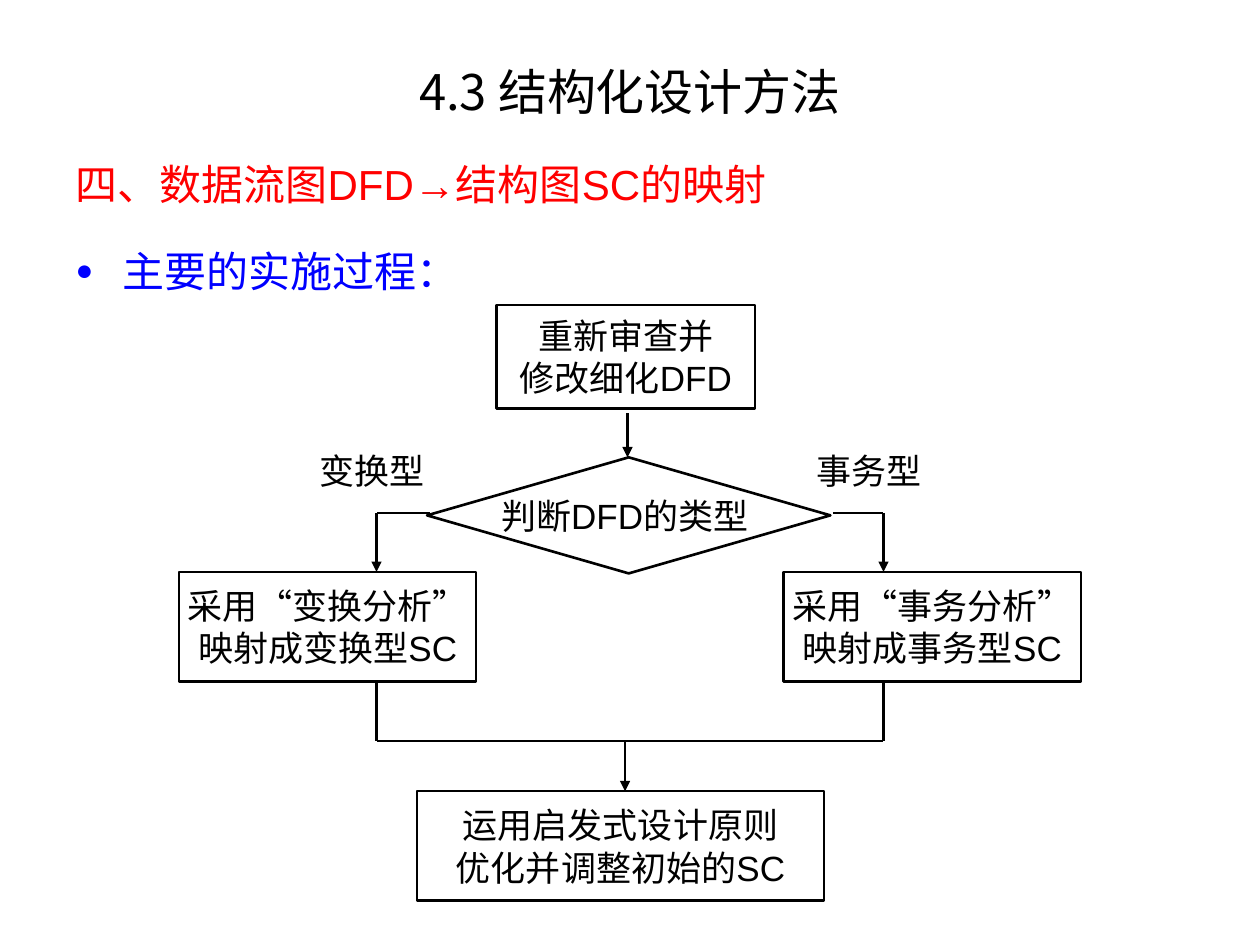
from pptx import Presentation
from pptx.dml.color import RGBColor
from pptx.enum.shapes import MSO_CONNECTOR, MSO_SHAPE as Shape
from pptx.enum.text import MSO_ANCHOR as Anchor, MSO_AUTO_SIZE as AutoSize, PP_ALIGN as Align
from pptx.oxml import parse_xml
from pptx.oxml.ns import nsdecls
from pptx.util import Cm, Pt

BLACK = RGBColor(0x00, 0x00, 0x00)
RED = RGBColor(0xFF, 0x00, 0x00)
BLUE = RGBColor(0x00, 0x00, 0xFF)
CJK = "Noto Sans CJK SC"
NS = nsdecls("a")


def write(frame, text, size=20, color=BLACK, font="Arial", align=Align.CENTER,
          anchor=Anchor.MIDDLE, wrap=False):
    """Fill a text frame, one paragraph per line of text."""
    frame.auto_size = AutoSize.NONE
    frame.word_wrap = wrap
    frame.vertical_anchor = anchor
    frame.text = text
    for para in frame.paragraphs:
        para.alignment = align
        for span in para.runs:
            span.font.size = Pt(size)
            span.font.color.rgb = color
            span.font.name = font
            span.font._element.append(parse_xml(f'<a:ea {NS} typeface="{CJK}"/>'))


def connect(x1, y1, x2, y2, arrow=False):
    """Draw a straight flow line, with an arrowhead at its end if asked."""
    line = page.shapes.add_connector(
        MSO_CONNECTOR.STRAIGHT, Cm(x1), Cm(y1), Cm(x2), Cm(y2))
    line.line.color.rgb = BLACK
    line.line.width = Pt(1.5)
    if arrow:
        line.line._get_or_add_ln().append(parse_xml(f'<a:tailEnd {NS} type="triangle"/>'))
    line._element.spPr.append(parse_xml(f"<a:effectLst {NS}/>"))


deck = Presentation()
deck.slide_width, deck.slide_height = Cm(25.4), Cm(19.05)
page = deck.slides.add_slide(deck.slide_layouts[1])

# Title
title = page.shapes.title
title.left, title.top, title.width, title.height = Cm(1.27), Cm(0.84), Cm(22.86), Cm(1.98)
write(title.text_frame, "4.3 结构化设计方法", size=28, font=CJK, wrap=True)

# Heading and bullet
body = page.placeholders[1]
body.left, body.top, body.width, body.height = Cm(1.27), Cm(2.97), Cm(22.86), Cm(14.81)
write(body.text_frame, "四、数据流图DFD→结构图SC的映射\n主要的实施过程：", size=24, color=RED,
      align=Align.LEFT, anchor=Anchor.TOP, wrap=True)
heading, bullet = body.text_frame.paragraphs
bullet.runs[0].font.color.rgb = BLUE
bullet.runs[0].font.name = CJK
bullet_marks = [
    (heading, ["<a:buNone {}/>"]),
    (bullet, ['<a:buClr {}><a:srgbClr val="0000FF"/></a:buClr>',
              '<a:buSzPct {} val="70000"/>',
              '<a:buFont {} typeface="Arial"/>',
              '<a:buChar {} char="●"/>']),
]
for para, marks in bullet_marks:
    properties = para._p.get_or_add_pPr()
    properties.set("marL", str(Cm(0.95)))
    properties.set("indent", str(-Cm(0.95)))
    for mark in marks:
        properties.append(parse_xml(mark.format(NS)))
heading.line_spacing, heading.space_before = 1.1, Pt(0)
bullet.line_spacing, bullet.space_before = 1.2, Pt(15)

# Flowchart steps
steps = [
    (Shape.FLOWCHART_PROCESS, 10.01, 6.15, 5.21, 2.08, "重新审查并\n修改细化DFD"),
    (Shape.DIAMOND, 8.61, 9.22, 8.13, 2.34, "判断DFD的类型 "),
    (Shape.FLOWCHART_PROCESS, 3.61, 11.53, 5.99, 2.21, "采用“变换分析”\n映射成变换型SC"),
    (Shape.FLOWCHART_PROCESS, 15.8, 11.53, 5.99, 2.21, "采用“事务分析”\n映射成事务型SC"),
    (Shape.FLOWCHART_PROCESS, 8.41, 15.95, 8.2, 2.21, "运用启发式设计原则\n优化并调整初始的SC"),
]
for kind, left, top, width, height, text in steps:
    box = page.shapes.add_shape(kind, Cm(left), Cm(top), Cm(width), Cm(height))
    box.shadow.inherit = False
    box.fill.background()
    box.line.color.rgb = BLACK
    box.line.width = Pt(1.5)
    write(box.text_frame, text)

# Branch labels
for left, text in [(6.2, "变换型"), (16.21, "事务型")]:
    label = page.shapes.add_textbox(Cm(left), Cm(8.94), Cm(2.62), Cm(1.12))
    write(label.text_frame, text, anchor=Anchor.TOP)

# Flow lines: into the decision, down each branch, and into the last step
LEFT_X, RIGHT_X, JOIN_Y = 7.59, 17.81, 14.94
connect(12.65, 8.33, 12.65, 9.22, arrow=True)
for branch_x, corner_x in [(LEFT_X, 8.66), (RIGHT_X, 16.79)]:
    connect(corner_x, 10.34, branch_x, 10.34)
    connect(branch_x, 10.34, branch_x, 11.53, arrow=True)
    connect(branch_x, 13.74, branch_x, JOIN_Y)
connect(LEFT_X, JOIN_Y, RIGHT_X, JOIN_Y)
connect(12.6, JOIN_Y, 12.6, 15.95, arrow=True)

deck.save("out.pptx")
